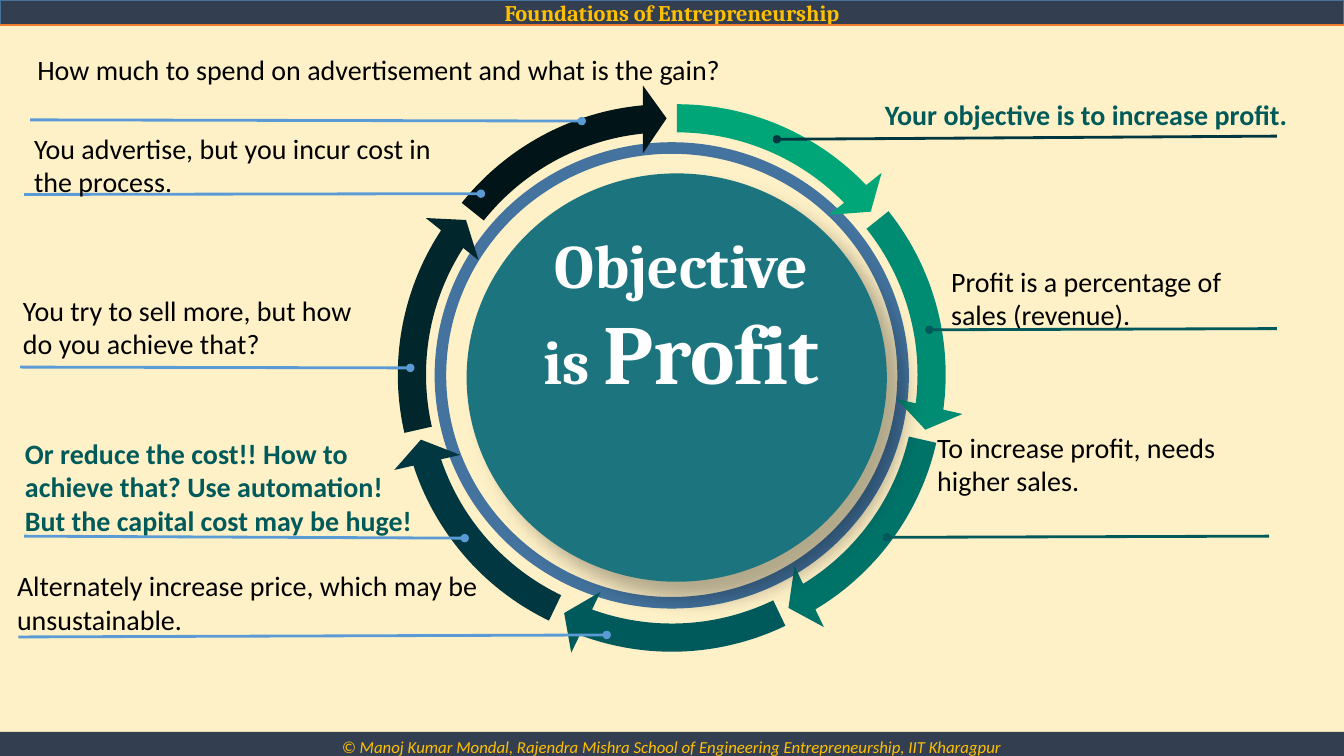
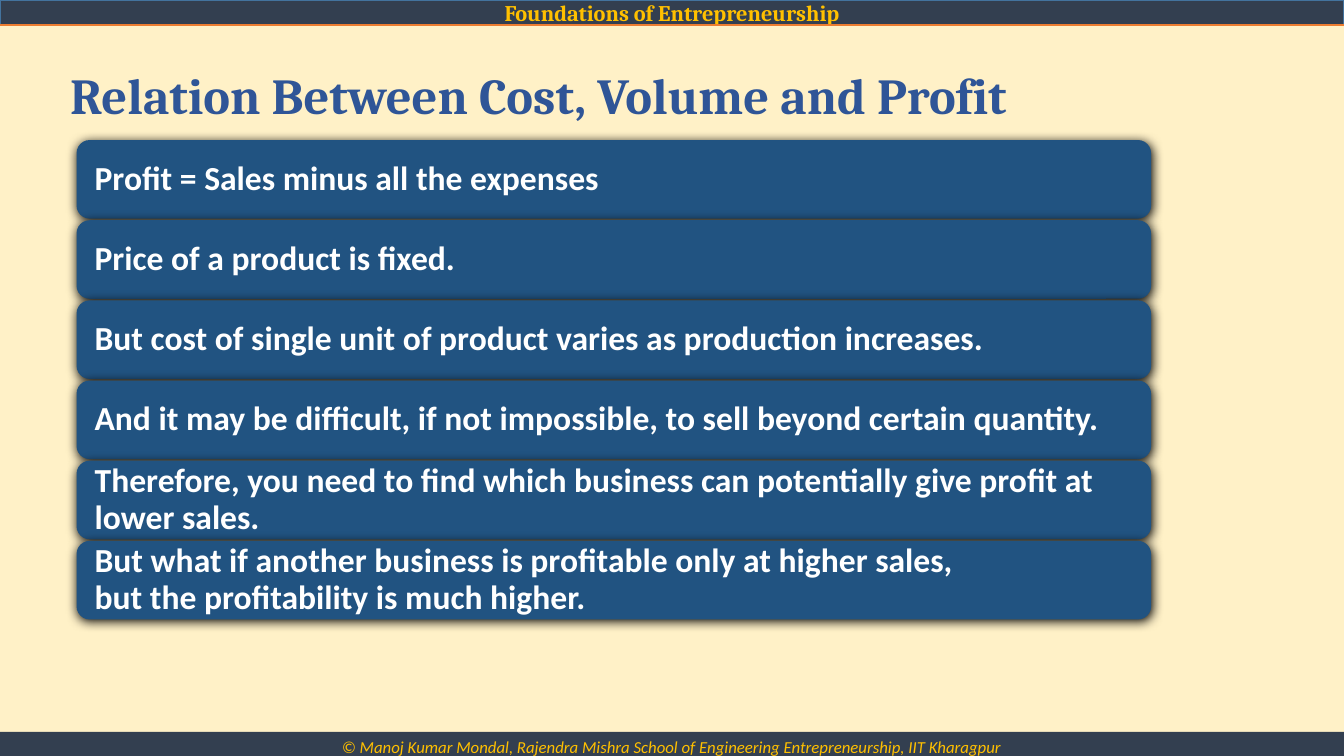
from lxml import etree
from pptx import Presentation
from pptx.dml.color import RGBColor
from pptx.enum.shapes import MSO_CONNECTOR, MSO_SHAPE
from pptx.enum.text import MSO_ANCHOR, PP_ALIGN
from pptx.oxml.ns import qn
from pptx.util import Cm, Pt

RECT, ROUND = MSO_SHAPE.RECTANGLE, MSO_SHAPE.ROUNDED_RECTANGLE
OVAL, ARROW = MSO_SHAPE.OVAL, MSO_SHAPE.CIRCULAR_ARROW
LINE = MSO_CONNECTOR.STRAIGHT
TOP, MIDDLE = MSO_ANCHOR.TOP, MSO_ANCHOR.MIDDLE
LEFT, CENTER = PP_ALIGN.LEFT, PP_ALIGN.CENTER

WIDE, HIGH = 33.87, 19.05
CREAM, SLATE, GOLD, ORANGE = "FFF1C7", "333F50", "FFC000", "ED7D31"
EDGE, NAVY, WHITE, BLACK = "43739E", "215381", "FFFFFF", "000000"
TEAL, PINE, INK, SKY = "005A5A", "005A5B", "013740", "5B9BD5"

HEAD = {"name": "Cambria", "size": Pt(16), "bold": True}
FOOT = {"name": "Calibri", "size": Pt(12), "italic": True}
TITLE = {"name": "Cambria", "size": Pt(36), "bold": True}
PLAIN = {"name": "Calibri", "size": Pt(20)}
STRONG = {**PLAIN, "bold": True}
BAR = {**STRONG, "size": Pt(24)}
HUB = {**TITLE, "size": Pt(44)}
BIG = {**TITLE, "size": Pt(60)}


def paint(fill, color):
    fill.solid()
    fill.fore_color.rgb = RGBColor.from_string(color)


def write(shape, text, color, font, align=LEFT, anchor=TOP, space=1.0):
    frame = shape.text_frame
    para = frame.paragraphs[0]
    for item, values in (
        (frame, {"word_wrap": True, "vertical_anchor": anchor}),
        (para, {"alignment": align, "line_spacing": space}),
    ):
        for key, value in values.items():
            setattr(item, key, value)
    for row, part in enumerate(text.split("\n")):
        if row:
            para.add_line_break()
        run = para.add_run()
        run.text = part
        paint(run.font.fill, color)
        for key, value in font.items():
            setattr(run.font, key, value)


deck = Presentation()
deck.slide_width, deck.slide_height = Cm(WIDE), Cm(HIGH)
shades = []

for _ in range(2):
    slide = deck.slides.add_slide(deck.slide_layouts[6])
    paint(slide.background.fill, CREAM)
    for top, tall, edge, text, font, anchor in (
        (0, 0.64, EDGE, "Foundations of Entrepreneurship", HEAD, MIDDLE),
        (18.44, 0.61, None, "© Manoj Kumar Mondal, Rajendra Mishra School of Engineering "
         "Entrepreneurship, IIT Kharagpur", FOOT, TOP),
    ):
        band = slide.shapes.add_shape(RECT, 0, Cm(top), Cm(WIDE), Cm(tall))
        band.shadow.inherit = False
        paint(band.fill, SLATE)
        if edge:
            paint(band.line.fill, edge)
            band.line.width = Pt(1)
        else:
            band.line.fill.background()
        write(band, text, GOLD, font, CENTER, anchor)
    rule = slide.shapes.add_connector(LINE, 0, Cm(0.64), Cm(WIDE), Cm(0.64))
    paint(rule.line.fill, ORANGE)
    rule.line.width = Pt(1.5)

cycle, steps = deck.slides

ring = cycle.shapes.add_shape(OVAL, Cm(11.1), Cm(3.73), Cm(11.66), Cm(11.46))
ring.shadow.inherit = False
ring.fill.background()
paint(ring.line.fill, EDGE)
ring.line.width = Pt(8.25)

TURN = 216
for spot, (left, top, color) in enumerate((
    (9.96, 2.13, "00A677"),
    (10.13, 2.34, "008C73"),
    (10.06, 2.59, "007369"),
    (9.83, 2.72, PINE),
    (9.6, 2.59, INK),
    (9.53, 2.34, "01272D"),
    (9.7, 2.13, "011417"),
)):
    arrow = cycle.shapes.add_shape(ARROW, Cm(left), Cm(top), Cm(14.2), Cm(14.2))
    arrow.shadow.inherit = False
    paint(arrow.fill, color)
    arrow.line.fill.background()
    start = (162 + spot * TURN / 7) % TURN
    values = (0.05, 3.28, (start + 27.58) % TURN, start, 0.06)
    for index, value in enumerate(values):
        arrow.adjustments[index] = value

for x1, y1, x2, y2, color in (
    (19.58, 3.51, 32.18, 3.43, INK),
    (23.42, 8.31, 32.18, 8.28, PINE),
    (22.35, 13.54, 31.98, 13.51, PINE),
    (12.12, 4.88, 0.61, 4.9, SKY),
    (10.34, 9.27, 0.51, 9.25, SKY),
    (11.71, 13.56, 0.61, 13.51, SKY),
    (15.29, 16, 0.46, 16.05, SKY),
    (14.66, 3.05, 0.76, 3.02, SKY),
):
    lead = cycle.shapes.add_connector(LINE, Cm(x1), Cm(y1), Cm(x2), Cm(y2))
    paint(lead.line.fill, color)
    lead.line.width = Pt(2)
    stroke = lead._element.spPr.find(qn("a:ln"))
    etree.SubElement(stroke, qn("a:headEnd"), type="oval")

for left, top, wide, tall, color, font, text in (
    (22.05, 2.34, 11.61, 1.12, TEAL, STRONG, "Your objective is to increase profit."),
    (23.72, 6.53, 8.71, 1.96, BLACK, PLAIN, "Profit is a percentage of sales (revenue)."),
    (23.37, 10.72, 8.18, 1.96, BLACK, PLAIN, "To increase profit, needs higher sales."),
    (0.38, 10.87, 10.41, 2.82, TEAL, STRONG,
     "Or reduce the cost!! How to achieve that? Use automation! "
     "But the capital cost may be huge!"),
    (0.61, 3.18, 11.51, 1.96, BLACK, PLAIN,
     "You advertise, but you incur cost in the process."),
    (0.33, 7.26, 9.47, 1.96, BLACK, PLAIN,
     "You try to sell more, but how do you achieve that?"),
    (0.18, 14.2, 12.22, 1.96, BLACK, PLAIN,
     "Alternately increase price, which may be unsustainable."),
    (0.69, 1.19, 18.44, 1.12, BLACK, PLAIN,
     "How much to spend on advertisement and what is the gain?"),
):
    label = cycle.shapes.add_textbox(Cm(left), Cm(top), Cm(wide), Cm(tall))
    write(label, text, color, font)

disc = cycle.shapes.add_shape(OVAL, Cm(11.76), Cm(4.37), Cm(10.59), Cm(10.29))
paint(disc.fill, "1C757E")
disc.line.fill.background()
shades.append((disc, 30, 15, 18, 45))
hub = cycle.shapes.add_textbox(Cm(13.11), Cm(5.59), Cm(8.13), Cm(6.58))
write(hub, "Objective is ", WHITE, HUB, CENTER)
write(hub, "Profit", WHITE, BIG, CENTER)

title = steps.shapes.add_textbox(Cm(1.52), Cm(0.64), Cm(29.21), Cm(3.68))
write(title, "Relation Between Cost, Volume and Profit", "2F5597", TITLE, LEFT, MIDDLE, 0.9)

for row, text in enumerate((
    "Profit = Sales minus all the expenses",
    "Price of a product is fixed.",
    "But cost of single unit of product varies as production increases.",
    "And it may be difficult, if not impossible, to sell beyond certain quantity.",
    "Therefore, you need to find which business can potentially give profit at lower sales.",
    "But what if another business is profitable only at higher sales,\n"
    "but the profitability is much higher.",
)):
    bar = steps.shapes.add_shape(ROUND, Cm(1.93), Cm(3.53 + row * 2.02), Cm(27.08), Cm(1.98))
    paint(bar.fill, NAVY)
    bar.line.fill.background()
    bar.text_frame.margin_left = bar.text_frame.margin_right = Cm(0.36)
    write(bar, text, WHITE, BAR, LEFT, MIDDLE, 0.9)
    shades.append((bar, 100, 8.5, 1, 90))

for shape, alpha, blur, dist, angle in shades:
    shape.shadow.inherit = False
    effects = shape._element.spPr.find(qn("a:effectLst"))
    shade = etree.SubElement(
        effects, qn("a:outerShdw"), blurRad=str(Pt(blur)), dist=str(Pt(dist)),
        dir=str(angle * 60000), algn="ctr", rotWithShape="0")
    tint = etree.SubElement(shade, qn("a:srgbClr"), val=BLACK)
    etree.SubElement(tint, qn("a:alpha"), val=str(alpha * 1000))

for slide in deck.slides:
    for line in slide.element.iter(qn("p:cxnSp")):
        etree.SubElement(line.spPr, qn("a:effectLst"))

deck.save("out.pptx")
